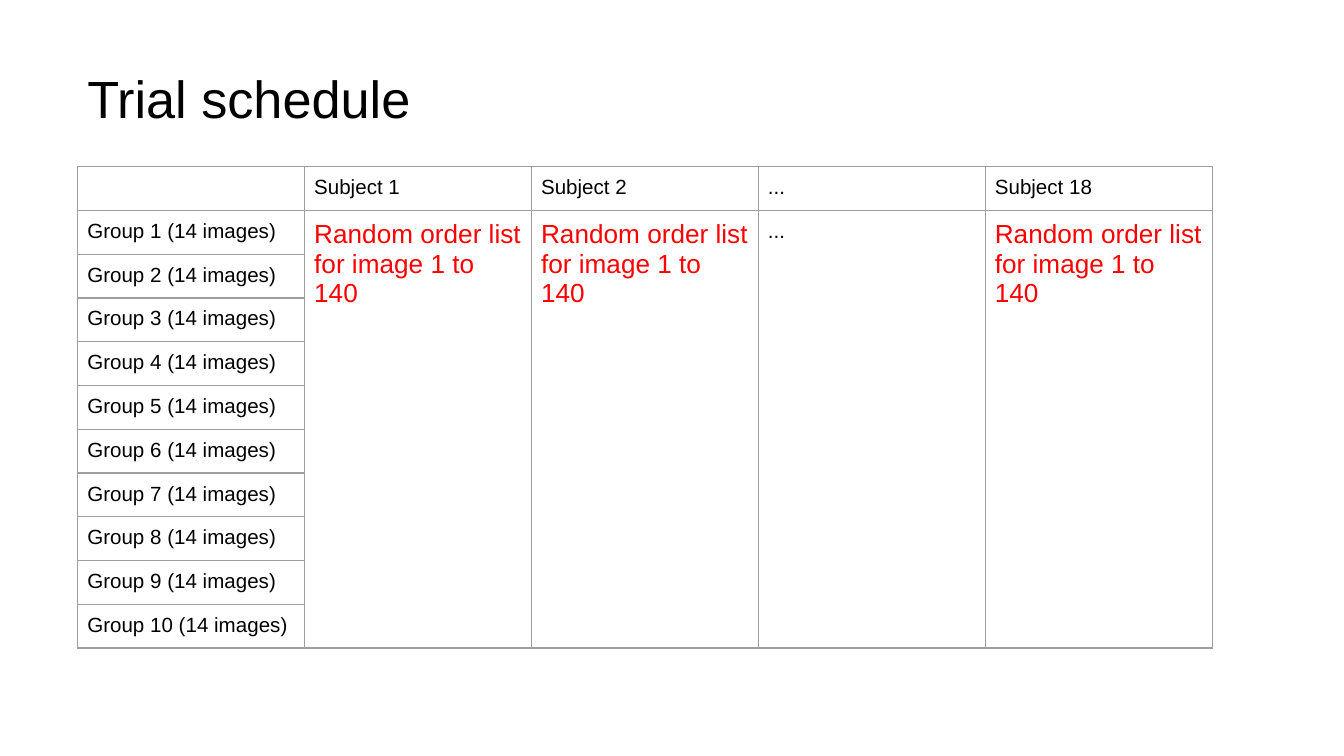
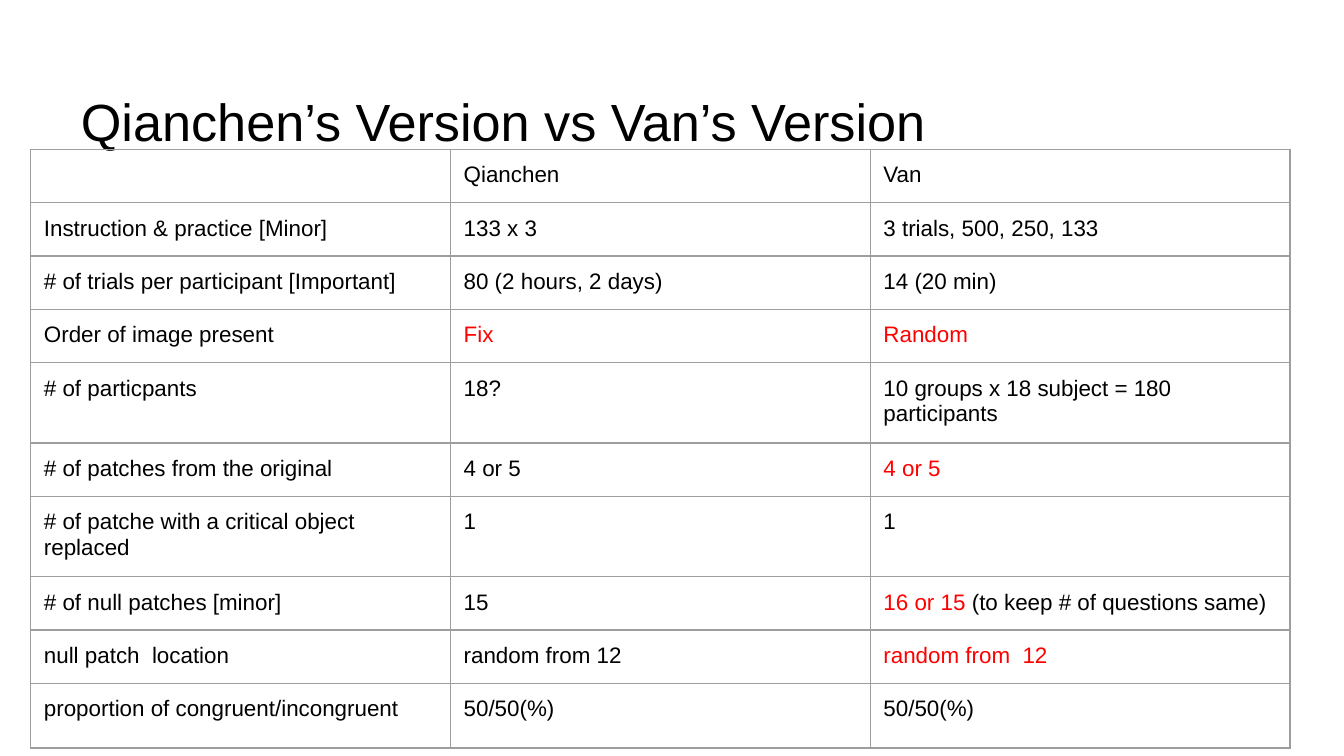
from dataclasses import dataclass

from lxml import etree
from pptx import Presentation
from pptx.dml.color import RGBColor
from pptx.enum.text import MSO_ANCHOR
from pptx.oxml.ns import qn
from pptx.util import Cm, Pt

MIDDLE, TOP = MSO_ANCHOR.MIDDLE, MSO_ANCHOR.TOP


@dataclass(frozen=True)
class Theme:
    font: str = "Arial"
    text: str = "000000"
    accent: str = "FF0000"
    border: str = "9E9E9E"
    border_width: float = 0.75
    title_size: int = 28
    schedule_size: int = 11
    order_size: int = 14
    compare_size: int = 12


THEME = Theme()


def red(text):
    return text, THEME.accent


GROUPS = [f"Group {n} (14 images)" for n in range(1, 11)]
ORDER = red("Random order list for image 1 to 140")
SCHEDULE = {"Subject 1": ORDER, "Subject 2": ORDER, "...": "...", "Subject 18": ORDER}

# Each row: aspect, first version, second version; a list holds several runs.
COMPARISON = [
    ("", "Qianchen", "Van"),
    ("Instruction & practice [Minor]", "133 x 3", "3 trials, 500, 250, 133"),
    ("# of trials per participant [Important]", "80 (2 hours, 2 days)", "14 (20 min)"),
    ("Order of image present", red("Fix"), red("Random")),
    ("# of particpants", "18?", "10 groups x 18 subject = 180 participants"),
    ("# of patches from the original", "4 or 5", red("4 or 5")),
    ("# of patche with a critical object replaced", "1", "1"),
    ("# of null patches [minor]", "15",
     [red("16 or 15 "), "(to keep # of questions same)"]),
    ("null patch  location", "random from 12", red("random from  12")),
    ("proportion of congruent/incongruent", "50/50(%)", "50/50(%)"),
]
ROW, TALL_ROW, LAST_ROW = 0.98, 1.45, 1.22
COMPARISON_HEIGHTS = [ROW] * 4 + [TALL_ROW, ROW, TALL_ROW, ROW, ROW, LAST_ROW]


def set_all(target, values):
    for name, value in values.items():
        setattr(target, name, value)


def margins(x, y):
    return {"margin_left": Cm(x), "margin_right": Cm(x),
            "margin_top": Cm(y), "margin_bottom": Cm(y)}


def add_run(p, text, size, color):
    r = p.add_run()
    r.text = text
    set_all(r.font, {"name": THEME.font, "size": Pt(size)})
    r.font.color.rgb = RGBColor.from_string(color)


def add_title(s, text, left, top):
    box = s.shapes.add_textbox(Cm(left), Cm(top), Cm(21.9), Cm(2.77))
    tf = box.text_frame
    set_all(tf, {"word_wrap": True, "vertical_anchor": MIDDLE, **margins(0.18, 0.1)})
    p = tf.paragraphs[0]
    p.line_spacing = 0.9
    add_run(p, text, THEME.title_size, THEME.text)


def add_borders(cell):
    tc_pr = cell._tc.get_or_add_tcPr()
    for side in ("lnL", "lnR", "lnT", "lnB"):
        ln = etree.SubElement(tc_pr, qn(f"a:{side}"), w=str(Pt(THEME.border_width)))
        fill = etree.SubElement(ln, qn("a:solidFill"))
        etree.SubElement(fill, qn("a:srgbClr"), val=THEME.border)


def write_cell(cell, content, size):
    """Content is a string, a (text, colour) pair or a list of these."""
    p = cell.text_frame.paragraphs[0]
    if not content:
        # An empty cell needs its own size, or it makes the row taller.
        etree.SubElement(p._p, qn("a:endParaRPr"), sz=str(size * 100))
        return
    for part in content if isinstance(content, list) else [content]:
        text, color = part if isinstance(part, tuple) else (part, THEME.text)
        add_run(p, text, size, color)


def add_grid(s, left, top, width, heights, columns, margin):
    """Add an empty table with thin borders and no fill."""
    frame = s.shapes.add_table(len(heights), columns, Cm(left), Cm(top),
                               Cm(width), Cm(sum(heights)))
    table = frame.table
    set_all(table, {"first_row": False, "horz_banding": False})
    for row, height in zip(table.rows, heights):
        row.height = Cm(height)
    for cell in table.iter_cells():
        set_all(cell, {"vertical_anchor": TOP, **margins(margin, margin)})
        add_borders(cell)
        cell.fill.background()
    return table


def add_schedule(s, left, top, width, row_height):
    last = len(GROUPS)
    table = add_grid(s, left, top, width, [row_height] * (last + 1),
                     len(SCHEDULE) + 1, 0.18)
    for row, label in enumerate(["", *GROUPS]):
        write_cell(table.cell(row, 0), label, THEME.schedule_size)
    for col, (subject, order) in enumerate(SCHEDULE.items(), 1):
        write_cell(table.cell(0, col), subject, THEME.schedule_size)
        body = table.cell(1, col)
        body.merge(table.cell(last, col))
        size = THEME.order_size if order is ORDER else THEME.schedule_size
        write_cell(body, order, size)
        for row in range(2, last + 1):
            write_cell(table.cell(row, col), "", THEME.schedule_size)


def add_comparison(s, left, top, width):
    table = add_grid(s, left, top, width, COMPARISON_HEIGHTS, len(COMPARISON[0]), 0.25)
    for row, contents in enumerate(COMPARISON):
        for col, content in enumerate(contents):
            write_cell(table.cell(row, col), content, THEME.compare_size)


def main():
    prs = Presentation()
    set_all(prs, {"slide_width": Cm(25.4), "slide_height": Cm(14.29)})
    blank = prs.slide_layouts[6]

    s = prs.slides.add_slide(blank)
    add_title(s, "Trial schedule", 1.47, 0.53)
    add_schedule(s, 1.47, 3.15, 21.44, 0.81)

    s = prs.slides.add_slide(blank)
    add_title(s, "Qianchen’s Version vs Van’s Version", 1.35, 0.97)
    add_comparison(s, 0.58, 2.82, 23.8)

    prs.save("out.pptx")


if __name__ == "__main__":
    main()
